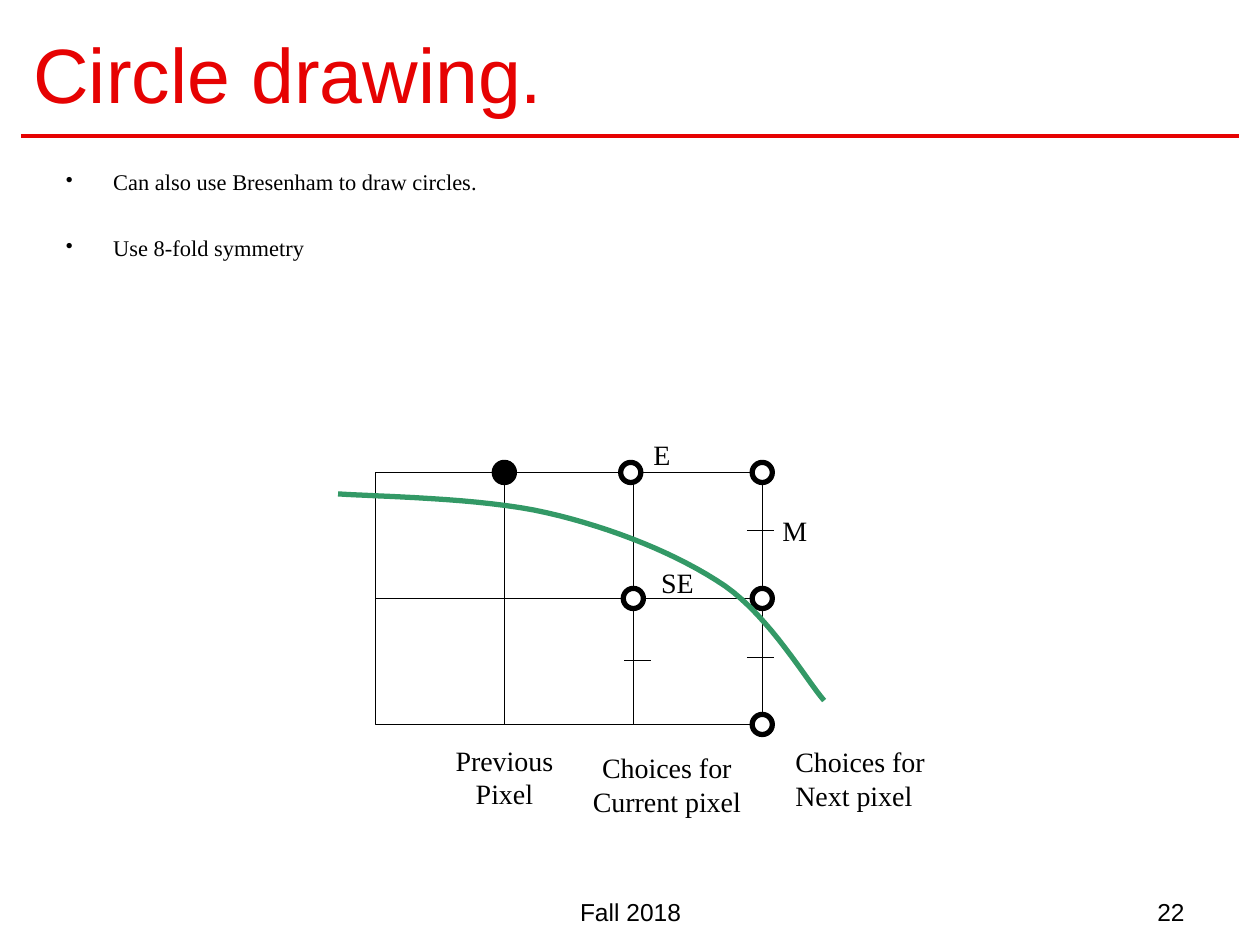
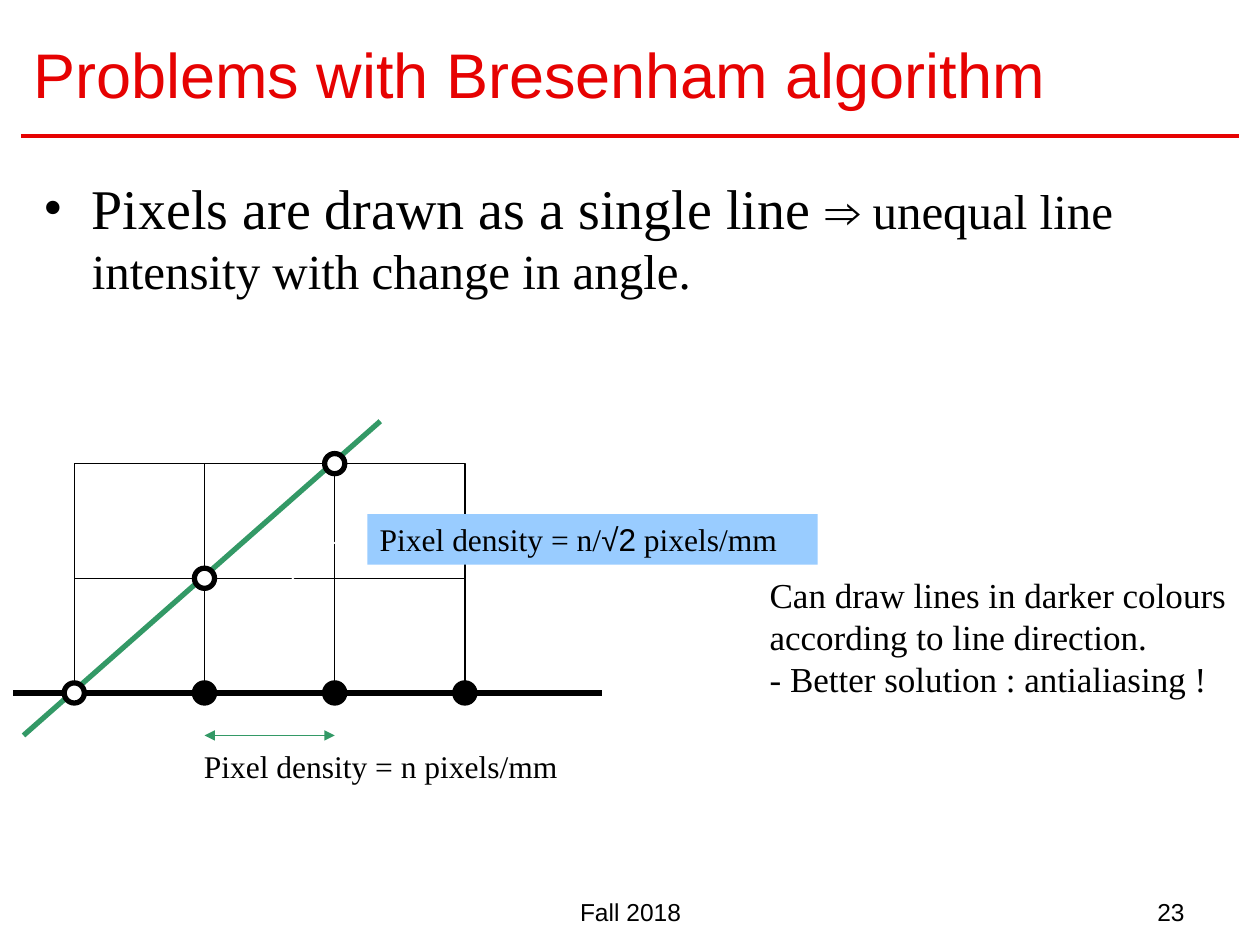
from pptx import Presentation
from pptx.dml.color import RGBColor
from pptx.enum import shapes, text
from pptx.oxml import ns
from pptx.util import Inches, Pt
from lxml import etree

RED = RGBColor(0xE6, 0x02, 0x02)
BLACK = RGBColor(0, 0, 0)
WHITE = RGBColor(255, 255, 255)
GREEN = RGBColor(0x33, 0x99, 0x66)
SKY = RGBColor(0x99, 0xCC, 0xFF)
SANS, SERIF = "Arial", "Times New Roman"
WIDE, HIGH = 10, 7.5
LEFT, MID, RIGHT = text.PP_ALIGN.LEFT, text.PP_ALIGN.CENTER, text.PP_ALIGN.RIGHT
THIN, THICK = 0.75, 3
DOT = 0.16


def sub(node, tag, **attrs):
    return etree.SubElement(node, ns.qn(tag), attrs)


def write(frame, paras, size, face=SERIF, color=BLACK, align=LEFT):
    """Fill a frame; a paragraph is a string or a list of (words, face, size)."""
    for i, words in enumerate(paras):
        para = frame.paragraphs[0] if i == 0 else frame.add_paragraph()
        para.alignment = align
        para.font.size, para.font.name = Pt(size), face
        para.font.color.rgb = color
        if isinstance(words, str):
            para.add_run().text = words
            continue
        for part, name, points in words:
            run = para.add_run()
            run.text = part
            run.font.name, run.font.size = name, Pt(points)


def label(slide, box, paras, size, **style):
    shape = slide.shapes.add_textbox(*map(Inches, box))
    frame = shape.text_frame
    frame.word_wrap = True
    write(frame, paras, size, **style)
    return frame


def line(slide, start, end, color=BLACK, width=THIN, arrow=False):
    link = slide.shapes.add_connector(
        shapes.MSO_CONNECTOR.STRAIGHT, *map(Inches, (*start, *end)))
    link.line.color.rgb, link.line.width = color, Pt(width)
    if arrow:
        stroke = link.line._get_or_add_ln()
        for tip in ("a:headEnd", "a:tailEnd"):
            sub(stroke, tip, type="triangle")
    sub(link._element.spPr, "a:effectLst")


def block(slide, kind, box, fill=None, width=None):
    shape = slide.shapes.add_shape(kind, *map(Inches, box))
    shape.shadow.inherit = False
    if fill is None:
        shape.fill.background()
    else:
        shape.fill.solid()
        shape.fill.fore_color.rgb = fill
    if width is None:
        shape.line.fill.background()
    else:
        shape.line.color.rgb, shape.line.width = BLACK, Pt(width)
    return shape


class Grid:
    """A pixel grid of 3 columns by 2 rows; parts are placed in cells."""

    def __init__(self, slide, left, top, width, height):
        self.slide, self.left, self.top = slide, left, top
        self.cell, self.row = width / 3, height / 2
        for c in range(3):
            for r in range(2):
                block(slide, shapes.MSO_SHAPE.RECTANGLE, self.box(c, r, 1, 1), width=THIN)

    def at(self, c, r):
        return self.left + c * self.cell, self.top + r * self.row

    def box(self, c, r, cols, rows):
        return (*self.at(c, r), cols * self.cell, rows * self.row)

    def dots(self, nodes, fill):
        for node in nodes:
            x, y = self.at(*node)
            block(self.slide, shapes.MSO_SHAPE.OVAL,
                  (x - DOT / 2, y - DOT / 2, DOT, DOT), fill, THICK)

    def line(self, start, end, **style):
        line(self.slide, self.at(*start), self.at(*end), **style)

    def label(self, box, paras, size, **style):
        label(self.slide, self.box(*box), paras, size, **style)

    def curve(self, knots, steps=16):
        """Draw joined cubic arcs; every third knot lies on the curve."""
        spots = [knots[0]]
        for i in range(0, len(knots) - 1, 3):
            a, b, c, d = knots[i:i + 4]
            for n in range(1, steps + 1):
                t = n / steps
                s = 1 - t
                spots.append(tuple(
                    s**3 * p + 3 * s * s * t * q + 3 * s * t * t * v + t**3 * w
                    for p, q, v, w in zip(a, b, c, d)))
        first, *rest = [tuple(map(Inches, self.at(*spot))) for spot in spots]
        path = self.slide.shapes.build_freeform(*first)
        path.add_line_segments(rest, close=False)
        shape = path.convert_to_shape()
        shape.shadow.inherit = False
        shape.fill.background()
        shape.line.color.rgb, shape.line.width = GREEN, Pt(THICK)


def base(deck, title, size, page):
    """Add a slide with its title, rule and footer."""
    slide = deck.slides.add_slide(deck.slide_layouts[6])
    edge = WIDE / 60
    line(slide, (edge, 1.08), (WIDE - edge, 1.08), RED, 2.25)
    foot = HIGH - 0.43
    label(slide, (3.42, foot, 3.17, 0.35), ["Fall 2018"], 14, face=SANS, align=MID)
    label(slide, (7.17, foot, 2.33, 0.35), [str(page)], 14, face=SANS, align=RIGHT)
    head = label(slide, (edge, 0.08, 9.58, 1), [title], size, face=SANS, color=RED)
    head.vertical_anchor = text.MSO_ANCHOR.MIDDLE
    return slide


def points(slide, box, paras, size, gaps, space=1.0):
    """Add a bulleted list; gaps holds the space before each point."""
    frame = label(slide, box, paras, size)
    for para, gap in zip(frame.paragraphs, gaps):
        para.line_spacing, para.space_before = space, Pt(gap)
        props = para._p.get_or_add_pPr()
        props.set("marL", str(Inches(0.38)))
        props.set("indent", str(-Inches(0.38)))
        font = props.find(ns.qn("a:defRPr"))
        font.addprevious(etree.Element(ns.qn("a:buFont"), typeface=SERIF))
        font.addprevious(etree.Element(ns.qn("a:buChar"), char="•"))


def circle(deck):
    slide = base(deck, "Circle drawing.", 44, 22)
    points(slide, (0.42, 1.34, 9.58, 1.09),
           ["Can also use Bresenham to draw circles.", "Use 8-fold symmetry"],
           12.8, (8, 27), 0.7)

    # Pixels: one drawn, the others open choices
    grid = Grid(slide, 2.98, 3.75, 3.07, 2)
    grid.dots([(2, 1), (1.98, 0), (3, 2), (3, 1), (3, 0)], WHITE)
    grid.dots([(1, 0)], BLACK)

    # Midpoint ticks
    for c, r in ((1.93, 1.49), (2.88, 0.46), (2.88, 1.47)):
        grid.line((c, r), (c + 0.21, r))

    # Labels
    for box, paras, align in (
            ((3.16, 2.11, 1.5, 0.64), ["Choices for", "Next pixel"], LEFT),
            ((3.06, 0.28, 0.5, 0.37), ["M"], LEFT),
            ((2.06, -0.33, 0.5, 0.37), ["E"], LEFT),
            ((2.12, 0.69, 0.6, 0.37), ["SE"], LEFT),
            ((0.35, 2.1, 1.3, 0.64), ["Previous", "Pixel"], MID),
            ((1.41, 2.16, 1.7, 0.64), ["Choices for", "Current pixel"], MID)):
        grid.label(box, paras, 16, align=align)

    # Arc of the circle
    grid.curve([(-0.29, 0.17), (-0.03, 0.19), (0.83, 0.2), (1.33, 0.32),
                (1.84, 0.44), (2.35, 0.65), (2.71, 0.9),
                (3.06, 1.15), (3.35, 1.66), (3.48, 1.81)])


def density(deck):
    slide = base(deck, "Problems with Bresenham algorithm", 36, 23)
    points(slide, (0.25, 1.33, 9.58, 2.05),
           [[("Pixels are drawn as a single line ", SERIF, 32), ("⇒", SANS, 28),
             (" unequal line intensity with change in angle.", SERIF, 28)]],
           32, (7,))

    # Flat and sloping lines with their pixels
    grid = Grid(slide, 0.59, 3.68, 3.1, 1.82)
    grid.dots([(c, 2) for c in (1, 2, 3)], BLACK)
    grid.line((-0.47, 2), (4.05, 2), width=THICK)
    grid.line((-0.39, 2.37), (2.35, -0.37), color=GREEN, width=THICK)
    grid.dots([(c, 2 - c) for c in range(3)], WHITE)

    # Spacing arrows
    grid.line((1, 2.37), (2, 2.37), color=GREEN, arrow=True)
    grid.line((1.31, 1.36), (2.35, 0.35), color=WHITE, arrow=True)

    # Density captions
    grid.label((0.9, 2.42, 3.1, 0.44), ["Pixel density = n pixels/mm"], 18)
    spot = (2.25, 0.44, 3.46, 0.44)
    block(slide, shapes.MSO_SHAPE.RECTANGLE, grid.box(*spot), SKY)
    grid.label(spot, [[("Pixel density = n/", SERIF, 18), ("√2", SANS, 18),
                       (" pixels/mm", SERIF, 18)]], 18)

    # Remedy
    label(slide, (6.01, 4.5, 3.84, 1.1),
          ["Can draw lines in darker colours according to line direction.",
           "- Better solution : antialiasing !"], 20)


def main():
    deck = Presentation()
    deck.slide_width, deck.slide_height = Inches(WIDE), Inches(HIGH)
    circle(deck)
    density(deck)
    deck.save("out.pptx")


if __name__ == "__main__":
    main()
